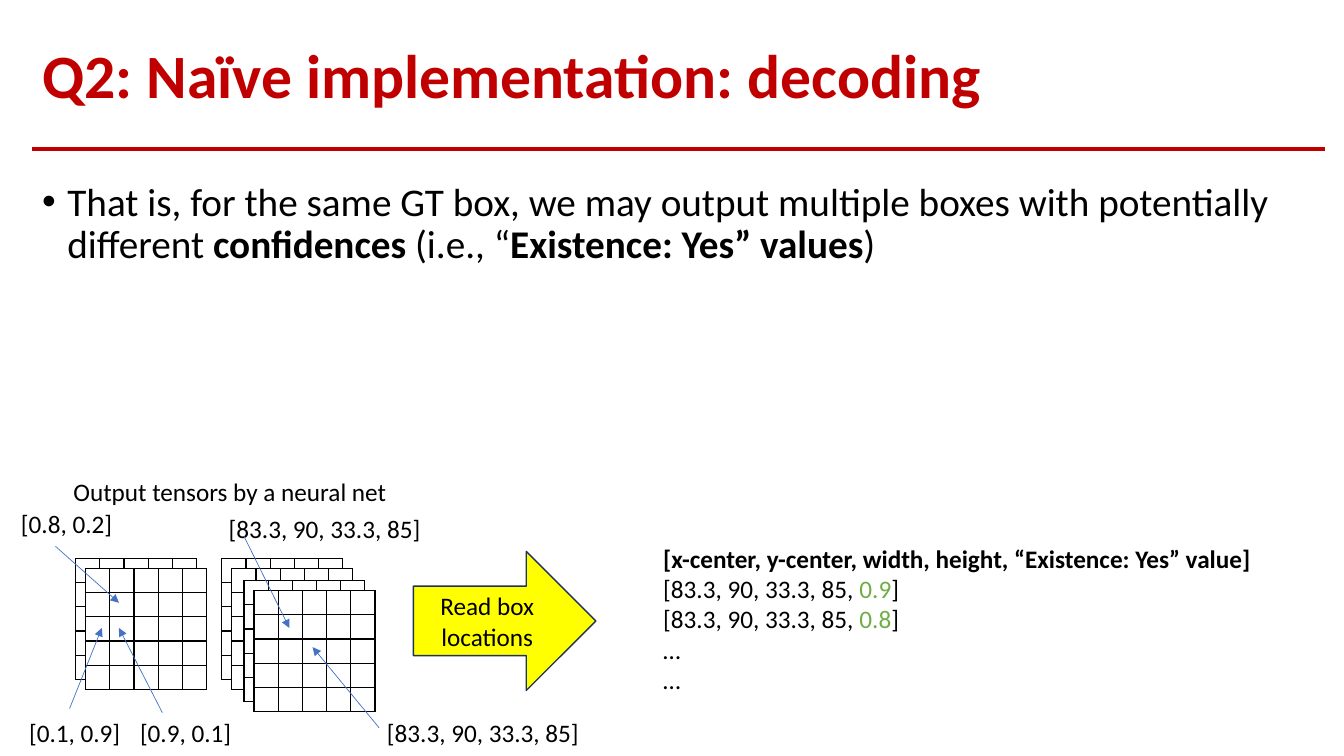
from dataclasses import dataclass

from lxml.etree import SubElement
from pptx import Presentation
from pptx.dml.color import RGBColor
from pptx.enum.shapes import MSO_CONNECTOR, MSO_SHAPE
from pptx.enum.text import MSO_ANCHOR, PP_ALIGN
from pptx.oxml.ns import qn
from pptx.util import Inches, Pt


@dataclass(frozen=True)
class Theme:
    font: str = "Calibri"
    title_size: int = 44
    body_size: int = 28
    label_size: int = 18
    red: str = "C00000"
    black: str = "000000"
    white: str = "FFFFFF"
    yellow: str = "FFFF00"
    navy: str = "1E3256"
    blue: str = "4472C4"
    green: str = "70AD47"


THEME = Theme()
GRID_SIZE = 5
CELL = 0.24


def rgb(color):
    return RGBColor.from_string(color)


def write_text(frame, paragraphs, size=THEME.label_size, color=THEME.black, bold=False,
               align=PP_ALIGN.LEFT, anchor=MSO_ANCHOR.TOP, line_spacing=None,
               space_before=0, margin=0, bullet=False):
    """Fill a frame; a paragraph is a string or a list of (text, overrides) runs."""
    frame.word_wrap = True
    frame.vertical_anchor = anchor
    for index, content in enumerate(paragraphs):
        paragraph = frame.paragraphs[0] if index == 0 else frame.add_paragraph()
        paragraph.alignment = align
        paragraph.line_spacing = line_spacing
        paragraph.space_before = Pt(space_before)
        properties = paragraph._p.get_or_add_pPr()
        properties.set("marL", str(Inches(margin)))
        properties.set("indent", str(Inches(-margin if bullet else 0)))
        if bullet:
            SubElement(properties, qn("a:buFont"), typeface="Arial")
            SubElement(properties, qn("a:buChar"), char="•")
        runs = [(content, {})] if isinstance(content, str) else content
        for text, overrides in runs:
            run = paragraph.add_run()
            run.text = text
            run.font.name = THEME.font
            run.font.size = Pt(size)
            run.font.bold = overrides.get("bold", bold)
            run.font.color.rgb = rgb(overrides.get("color", color))


def add_text(slide, left, top, width, height, paragraphs, **text_format):
    box = slide.shapes.add_textbox(Inches(left), Inches(top), Inches(width), Inches(height))
    write_text(box.text_frame, paragraphs, **text_format)


def add_line(slide, start, end, color, width, arrow=False):
    connector = slide.shapes.add_connector(
        MSO_CONNECTOR.STRAIGHT, *(Inches(value) for value in (*start, *end)))
    connector.line.color.rgb = rgb(color)
    connector.line.width = Pt(width)
    if arrow:
        SubElement(connector.line._get_or_add_ln(), qn("a:tailEnd"), type="triangle")
    SubElement(connector._element.spPr, qn("a:effectLst"))


def style_cell(cell):
    """Make an empty white cell with thin black borders."""
    cell.margin_left = cell.margin_right = cell.margin_top = cell.margin_bottom = 0
    cell.text_frame.paragraphs[0]._p.get_or_add_endParaRPr().set("sz", "800")
    properties = cell._tc.get_or_add_tcPr()
    for side in ("lnL", "lnR", "lnT", "lnB"):
        border = SubElement(properties, qn(f"a:{side}"), w=str(Pt(1)))
        fill = SubElement(border, qn("a:solidFill"))
        SubElement(fill, qn("a:srgbClr"), val=THEME.black)
    cell.fill.solid()
    cell.fill.fore_color.rgb = rgb(THEME.white)


def add_tensor_layer(slide, left, top):
    side = Inches(CELL * GRID_SIZE)
    grid = slide.shapes.add_table(
        GRID_SIZE, GRID_SIZE, Inches(left), Inches(top), side, side).table
    grid.first_row = grid.horz_banding = False
    for column in grid.columns:
        column.width = Inches(CELL)
    for row in grid.rows:
        row.height = Inches(CELL)
        for cell in row.cells:
            style_cell(cell)


def add_block_arrow(slide, left, top, width, height, label):
    arrow = slide.shapes.add_shape(
        MSO_SHAPE.RIGHT_ARROW, Inches(left), Inches(top), Inches(width), Inches(height))
    arrow.shadow.inherit = False
    arrow.fill.solid()
    arrow.fill.fore_color.rgb = rgb(THEME.yellow)
    arrow.line.color.rgb = rgb(THEME.navy)
    arrow.line.width = Pt(1)
    write_text(arrow.text_frame, [label], align=PP_ALIGN.CENTER, anchor=MSO_ANCHOR.MIDDLE)


def decoded_box(confidence):
    return [("[83.3, 90, 33.3, 85, ", {}), (confidence, {"color": THEME.green}), ("]", {})]


def main():
    deck = Presentation()
    deck.slide_width, deck.slide_height = Inches(13.33), Inches(7.5)
    slide = deck.slides.add_slide(deck.slide_layouts[6])
    strong = {"bold": True}

    add_line(slide, (0.32, 1.48), (13.14, 1.48), THEME.red, 2.5)
    add_text(slide, 0.32, 0.28, 12.82, 1, ["Q2: Naïve implementation: decoding"],
             size=THEME.title_size, color=THEME.red, bold=True,
             anchor=MSO_ANCHOR.MIDDLE, line_spacing=0.9)
    add_text(slide, 0.32, 1.76, 12.82, 4.99, [[
        ("That is, for the same GT box, we may output multiple boxes with potentially different ", {}),
        ("confidences", strong),
        (" (i.e., “", {}),
        ("Existence: Yes” values", strong),
        (")", {}),
    ]], size=THEME.body_size, line_spacing=0.9, space_before=10, margin=0.25, bullet=True)

    existence_layers = (0, 0.1)
    location_layers = (0, 0.1, 0.22, 0.32)
    for left, offsets in ((0.75, existence_layers), (2.2, location_layers)):
        for offset in offsets:
            add_tensor_layer(slide, left + offset, 5.54 + offset)

    add_text(slide, 0.63, 4.68, 3.34, 0.4, ["Output tensors by a neural net"])
    add_block_arrow(slide, 4.1, 5.47, 1.81, 1.38, "Read box locations")

    location = "[83.3, 90, 33.3, 85]"
    for left, top, width, label in (
        (1.29, 7.07, 1.35, "[0.9, 0.1]"),
        (0.19, 7.07, 1.35, "[0.1, 0.9]"),
        (0.11, 4.99, 1.35, "[0.8, 0.2]"),
        (3.74, 7.07, 2.36, location),
        (2.17, 5.04, 2.36, location),
    ):
        add_text(slide, left, top, width, 0.4, [label])

    for label_point, cell_point in (
        ((1.61, 7.07), (1.18, 6.23)),
        ((0.69, 7.03), (1.01, 6.23)),
        ((0.55, 5.42), (1.18, 5.98)),
        ((2.42, 5.32), (2.87, 6.23)),
        ((3.76, 7.22), (3.1, 6.42)),
    ):
        add_line(slide, label_point, cell_point, THEME.blue, 0.5, arrow=True)

    add_text(slide, 5.98, 5.34, 6.67, 1.62, [
        [("[x-center, y-center, width, height, “Existence: Yes” value]", strong)],
        decoded_box("0.9"),
        decoded_box("0.8"),
        "…",
        "…",
    ], margin=0.5)

    deck.save("out.pptx")


if __name__ == "__main__":
    main()
